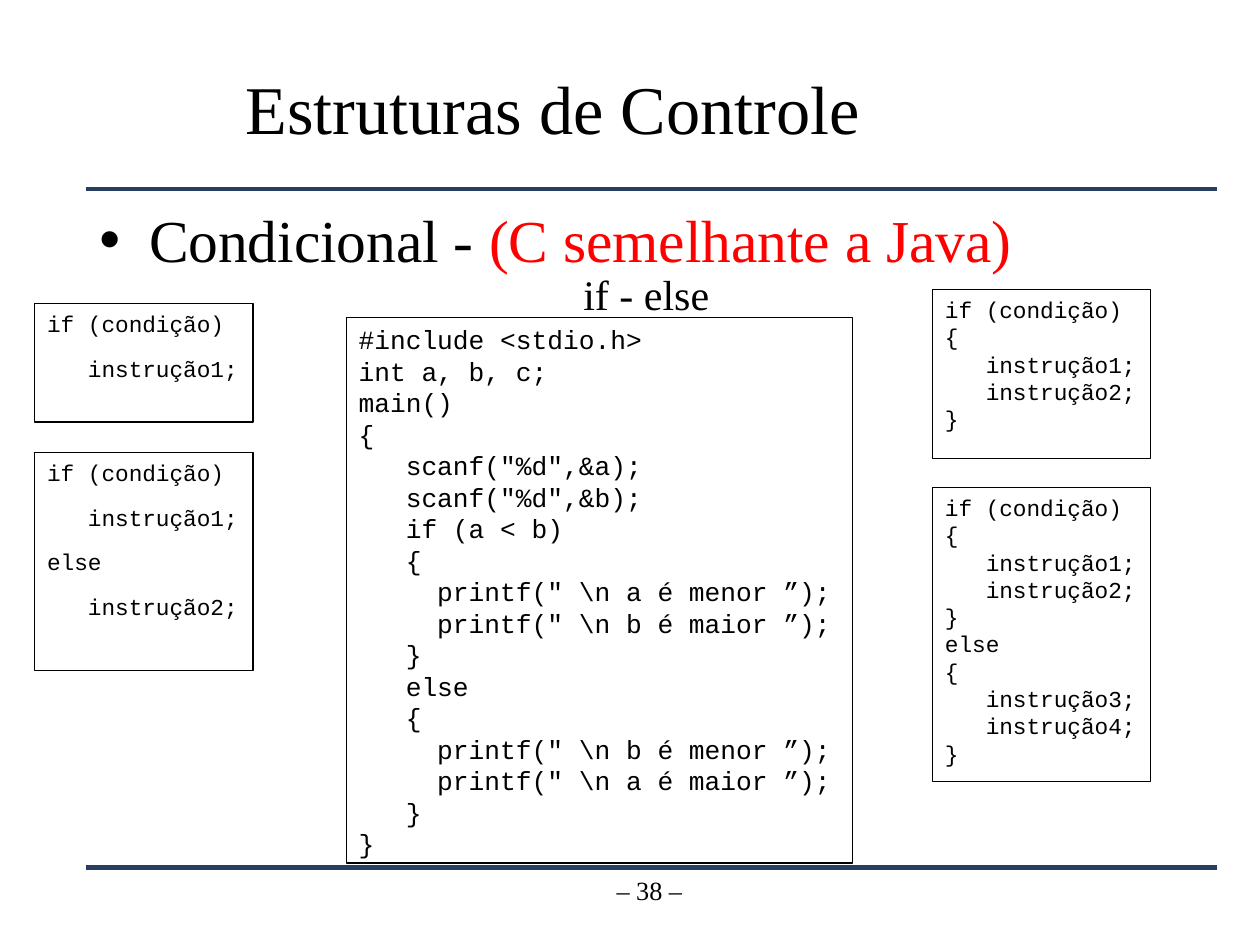
from typing import NamedTuple

from lxml.etree import SubElement
from pptx import Presentation
from pptx.dml.color import RGBColor
from pptx.enum.shapes import MSO_CONNECTOR, MSO_SHAPE
from pptx.enum.text import MSO_ANCHOR as Anchor, MSO_AUTO_SIZE as AutoSize, PP_ALIGN as Align
from pptx.oxml.ns import qn
from pptx.util import Cm, Pt

BLACK = RGBColor(0x00, 0x00, 0x00)
WHITE = RGBColor(0xFF, 0xFF, 0xFF)
RED = RGBColor(0xFF, 0x00, 0x00)
NAVY = RGBColor(0x26, 0x3E, 0x60)
SERIF, MONO = "Times New Roman", "Courier New"
LINE_HEIGHT = 1.2  # code line pitch relative to the font size


class Box(NamedTuple):
    left: float
    top: float
    width: float
    height: float

    def lengths(self) -> tuple:
        return tuple(Cm(value) for value in self)


class Listing(NamedTuple):
    box: Box
    code: str
    size: int = 13
    space_after: int = 0


class Span(NamedTuple):
    text: str
    color: RGBColor = BLACK


def write_text(frame, lines: list[list[Span]], *, size: int, font: str = SERIF,
               align=Align.LEFT, anchor=Anchor.TOP, wrap: bool = True,
               autosize=AutoSize.NONE, pitch: float = 0, space_after: int = 0) -> None:
    frame.word_wrap = wrap
    frame.auto_size = autosize
    frame.vertical_anchor = anchor
    for index, spans in enumerate(lines):
        paragraph = frame.add_paragraph() if index else frame.paragraphs[0]
        paragraph.alignment = align
        paragraph.space_before = Pt(0)
        paragraph.space_after = Pt(space_after)
        if pitch:
            paragraph.line_spacing = Pt(pitch)
        for span in spans:
            run = paragraph.add_run()
            run.text = span.text
            run.font.size = Pt(size)
            run.font.name = font
            run.font.color.rgb = span.color


def place(shape, box: Box) -> None:
    shape.left, shape.top, shape.width, shape.height = box.lengths()


def draw_rule(slide, top: float) -> None:
    rule = slide.shapes.add_connector(
        MSO_CONNECTOR.STRAIGHT, Cm(1.73), Cm(top), Cm(24.54), Cm(top))
    rule.line.color.rgb = NAVY
    rule.line.width = Pt(2.83)
    SubElement(rule._element.spPr, qn("a:effectLst"))


def draw_listing(slide, listing: Listing) -> None:
    panel = slide.shapes.add_shape(MSO_SHAPE.RECTANGLE, *listing.box.lengths())
    panel.shadow.inherit = False
    panel.fill.solid()
    panel.fill.fore_color.rgb = WHITE
    panel.line.color.rgb = BLACK
    panel.line.width = Pt(0.75)
    write_text(panel.text_frame, [[Span(line)] for line in listing.code.splitlines()],
               size=listing.size, font=MONO, pitch=listing.size * LINE_HEIGHT,
               space_after=listing.space_after)


def draw_label(slide, box: Box, text: str, **text_format) -> None:
    label = slide.shapes.add_textbox(*box.lengths())
    write_text(label.text_frame, [[Span(text)]], **text_format)


SIMPLE_IF = """if (condição)
   instrução1;"""

SIMPLE_ELSE = SIMPLE_IF + """
else
   instrução2;"""

BLOCK_IF = """if (condição)
{
   instrução1;
   instrução2;
}"""

BLOCK_ELSE = BLOCK_IF + """
else
{
   instrução3;
   instrução4;
}"""

PROGRAM = r"""#include <stdio.h>
int a, b, c;
main()
{
   scanf("%d",&a);
   scanf("%d",&b);
   if (a < b)
   {
     printf(" \n a é menor ”);
     printf(" \n b é maior ”);
   }
   else
   {
     printf(" \n b é menor ”);
     printf(" \n a é maior ”);
   }
}"""

SYNTAX_LEFT, SYNTAX_RIGHT, SYNTAX_WIDTH = 0.7, 18.8, 4.4
LISTINGS = [
    Listing(Box(SYNTAX_LEFT, 6.12, SYNTAX_WIDTH, 2.39), SIMPLE_IF, space_after=10),
    Listing(Box(6.98, 6.4, 10.21, 11), PROGRAM, size=15),
    Listing(Box(SYNTAX_LEFT, 9.12, SYNTAX_WIDTH, 4.4), SIMPLE_ELSE, space_after=10),
    Listing(Box(SYNTAX_RIGHT, 5.84, SYNTAX_WIDTH, 3.4), BLOCK_IF),
    Listing(Box(SYNTAX_RIGHT, 9.83, SYNTAX_WIDTH, 5.92), BLOCK_ELSE),
]


def main() -> None:
    deck = Presentation()
    deck.slide_width, deck.slide_height = Cm(25.4), Cm(19.05)
    slide = deck.slides.add_slide(deck.slide_layouts[1])

    # Title and topic
    title, topic = slide.shapes.title, slide.placeholders[1]
    place(title, Box(4.7, 0.81, 22, 2.72))
    write_text(title.text_frame, [[Span("Estruturas de Controle")]],
               size=39, anchor=Anchor.MIDDLE)
    place(topic, Box(1.75, 3.97, 22.76, 2.08))
    write_text(topic.text_frame,
               [[Span("Condicional - "), Span("(C semelhante a Java)", RED)]], size=34)
    indent = topic.text_frame.paragraphs[0]._p.get_or_add_pPr()
    indent.set("marL", str(Cm(1)))
    indent.set("indent", str(Cm(-1)))

    # Rules and page number
    for top in (3.81, 17.48):
        draw_rule(slide, top)
    draw_label(slide, Box(10.13, 17.5, 5.92, 1.32), "– 38 –", size=15, align=Align.CENTER)

    # Syntax forms around the example program
    for listing in LISTINGS:
        draw_listing(slide, listing)
    draw_label(slide, Box(11.51, 5.28, 3.07, 1.27), "if - else", size=24,
               wrap=False, autosize=AutoSize.SHAPE_TO_FIT_TEXT)

    deck.save("out.pptx")


if __name__ == "__main__":
    main()
